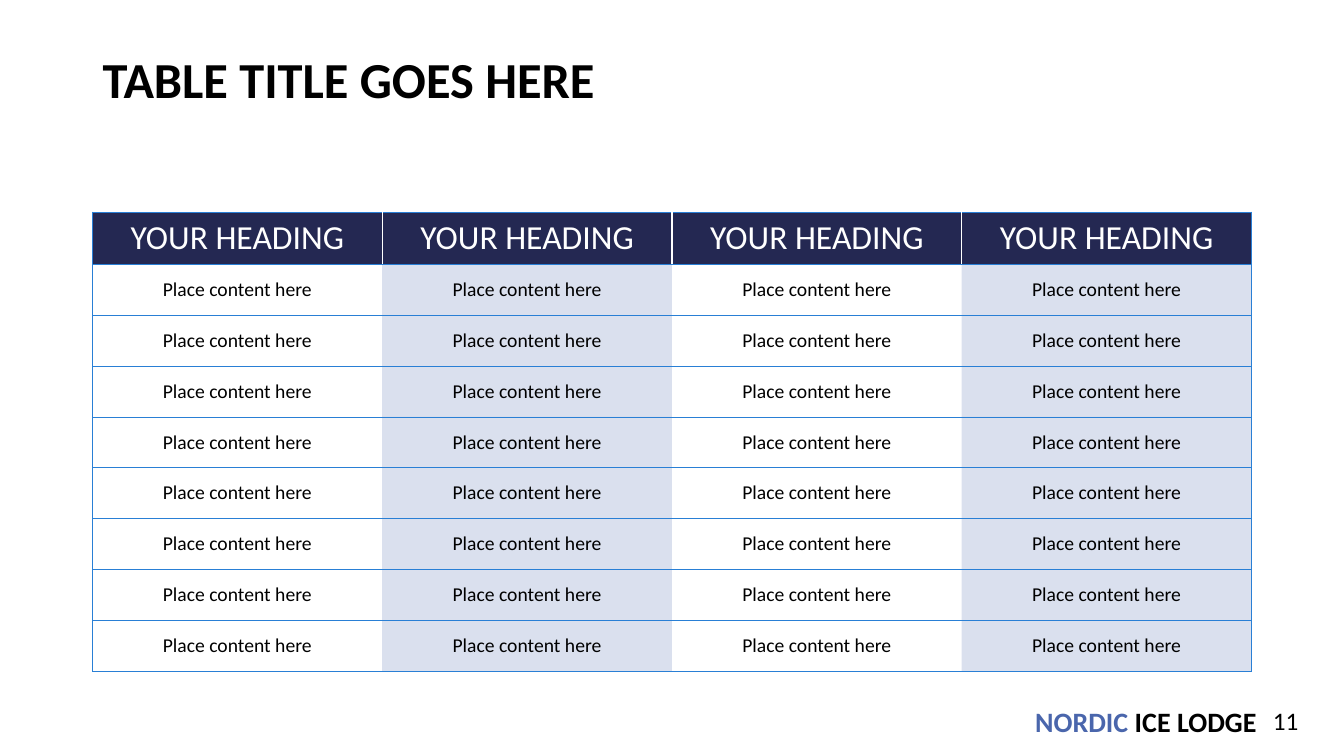
from lxml.etree import SubElement
from pptx import Presentation
from pptx.dml.color import RGBColor
from pptx.enum.text import MSO_ANCHOR, PP_ALIGN
from pptx.oxml.ns import qn
from pptx.util import Cm, Pt

COLORS = {
    "navy": "242852",
    "blue": "4A66AC",
    "line": "297FD5",
    "white": "FFFFFF",
    "black": "000000",
}
FONT = "Calibri"
COLUMNS = 4
CONTENT_ROWS = 8
LEFT, WIDTH = 2.33, 29.21
TABLE_TOP, TABLE_HEIGHT, HEADING_HEIGHT = 5.34, 11.58, 1.32


def add_span(para, text, size, color="black", bold=False):
    """Append formatted text to a paragraph."""
    span = para.add_run()
    span.text = text
    span.font.name = FONT
    span.font.size = Pt(size)
    span.font.bold = bold
    span.font.color.rgb = RGBColor.from_string(COLORS[color])


def add_right_text_box(page, left, top, width, height):
    """Add a text box and return its frame, with the text set to the right."""
    box = page.shapes.add_textbox(Cm(left), Cm(top), Cm(width), Cm(height))
    frame = box.text_frame
    frame.word_wrap = True
    frame.paragraphs[0].alignment = PP_ALIGN.RIGHT
    return frame


def add_title(page, text):
    title = page.shapes.title
    title.left, title.top = Cm(LEFT), Cm(1.19)
    title.width, title.height = Cm(WIDTH), Cm(1.78)
    title.text_frame.vertical_anchor = MSO_ANCHOR.MIDDLE
    para = title.text_frame.paragraphs[0]
    para.alignment = PP_ALIGN.LEFT
    para.line_spacing = 0.9
    add_span(para, text, size=36, bold=True)


def set_border(cell, side, color=None, width=0.5):
    """Draw one cell side (L, R, T or B); no color means no line."""
    properties = cell._tc.get_or_add_tcPr()
    line = SubElement(properties, qn(f"a:ln{side}"), w=str(Pt(width)))
    if color is None:
        SubElement(line, qn("a:noFill"))
    else:
        fill = SubElement(line, qn("a:solidFill"))
        SubElement(fill, qn("a:srgbClr"), val=COLORS[color])


def fill_cell(cell, color, opacity=100):
    cell.fill.solid()
    cell.fill.fore_color.rgb = RGBColor.from_string(COLORS[color])
    if opacity < 100:
        shade = cell._tc.tcPr.find(qn("a:solidFill")).find(qn("a:srgbClr"))
        SubElement(shade, qn("a:alpha"), val=str(opacity * 1000))


def format_cell(cell, row, column):
    is_heading = row == 0

    # Borders: blue frame and row lines, white gaps between headings
    inner = {"color": "white", "width": 1} if is_heading else {}
    frame = {"color": "line"}
    set_border(cell, "L", **(frame if column == 0 else inner))
    set_border(cell, "R", **(frame if column == COLUMNS - 1 else inner))
    set_border(cell, "T", **frame)
    set_border(cell, "B", **frame)

    # Fill: dark headings, every second column tinted
    if is_heading:
        fill_cell(cell, "navy")
    elif column % 2:
        fill_cell(cell, "blue", opacity=20)
    else:
        cell.fill.background()

    # Text
    cell.vertical_anchor = MSO_ANCHOR.MIDDLE
    cell.margin_left = cell.margin_right = Cm(0.18)
    cell.margin_top = cell.margin_bottom = Cm(0.1)
    para = cell.text_frame.paragraphs[0]
    para.alignment = PP_ALIGN.CENTER
    if is_heading:
        add_span(para, "YOUR HEADING", size=24, color="white")
    else:
        add_span(para, "Place content here", size=14)


def add_content_table(page):
    table = page.shapes.add_table(
        CONTENT_ROWS + 1, COLUMNS,
        Cm(LEFT), Cm(TABLE_TOP), Cm(WIDTH), Cm(TABLE_HEIGHT),
    ).table
    table.first_row = table.horz_banding = False
    content_height = (TABLE_HEIGHT - HEADING_HEIGHT) / CONTENT_ROWS
    for row_index, row in enumerate(table.rows):
        row.height = Cm(content_height if row_index else HEADING_HEIGHT)
        for column_index, cell in enumerate(row.cells):
            format_cell(cell, row_index, column_index)


def add_footer(page):
    # Company name
    frame = add_right_text_box(page, 25, 17.68, 6.72, 0.97)
    frame.vertical_anchor = MSO_ANCHOR.MIDDLE
    frame.margin_left = frame.margin_right = Cm(0.05)
    frame.margin_top = frame.margin_bottom = Cm(0.05)
    para = frame.paragraphs[0]
    add_span(para, "NORDIC", size=20, color="blue", bold=True)
    add_span(para, " ICE LODGE", size=20, bold=True)

    # Page number
    frame = add_right_text_box(page, 25.35, 17.65, 7.62, 1.02)
    add_span(frame.paragraphs[0], "11", size=18)


def main():
    deck = Presentation()
    deck.slide_width, deck.slide_height = Cm(33.87), Cm(19.05)
    page = deck.slides.add_slide(deck.slide_layouts[5])
    add_title(page, "TABLE TITLE GOES HERE")
    add_content_table(page)
    add_footer(page)
    deck.save("out.pptx")


if __name__ == "__main__":
    main()
